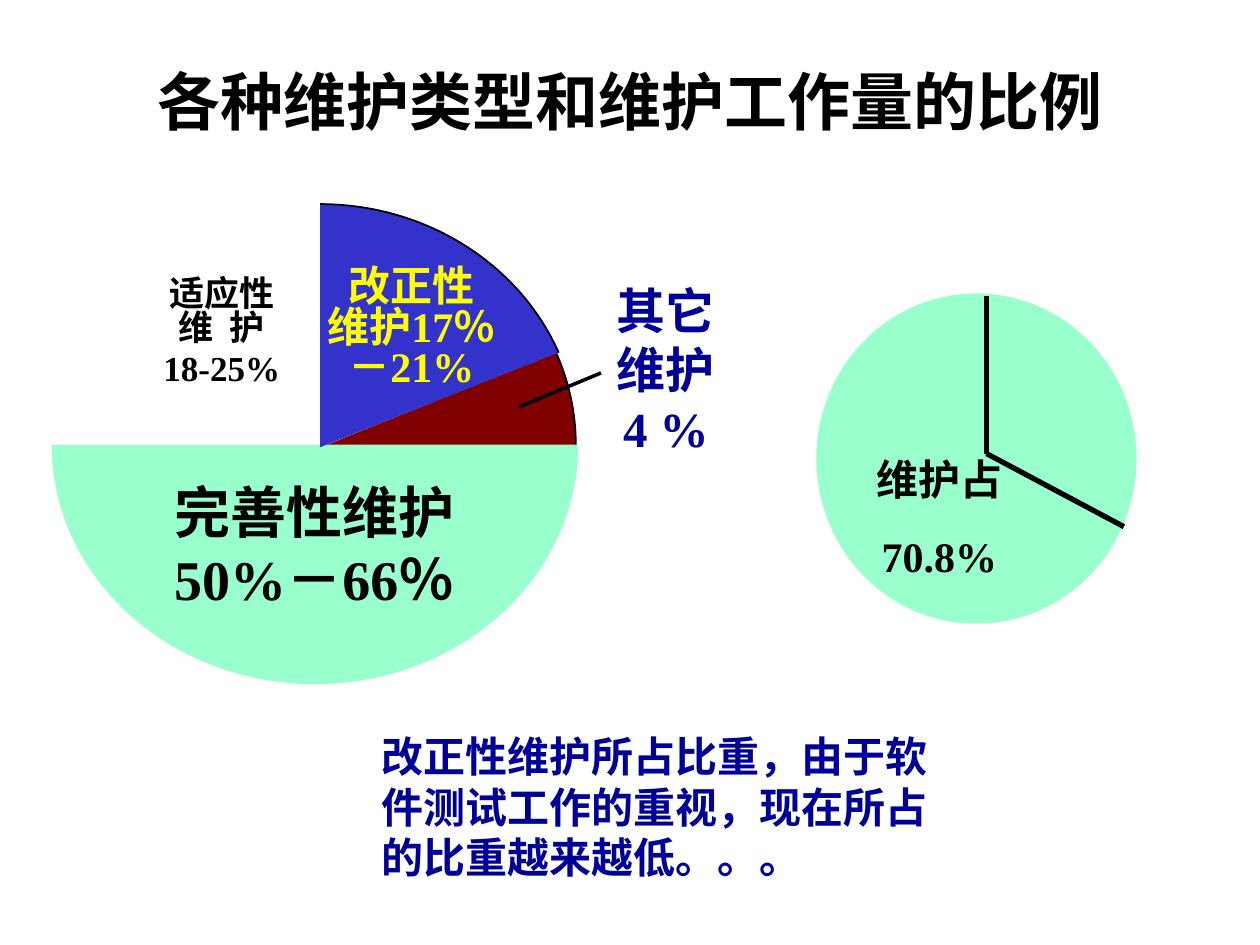
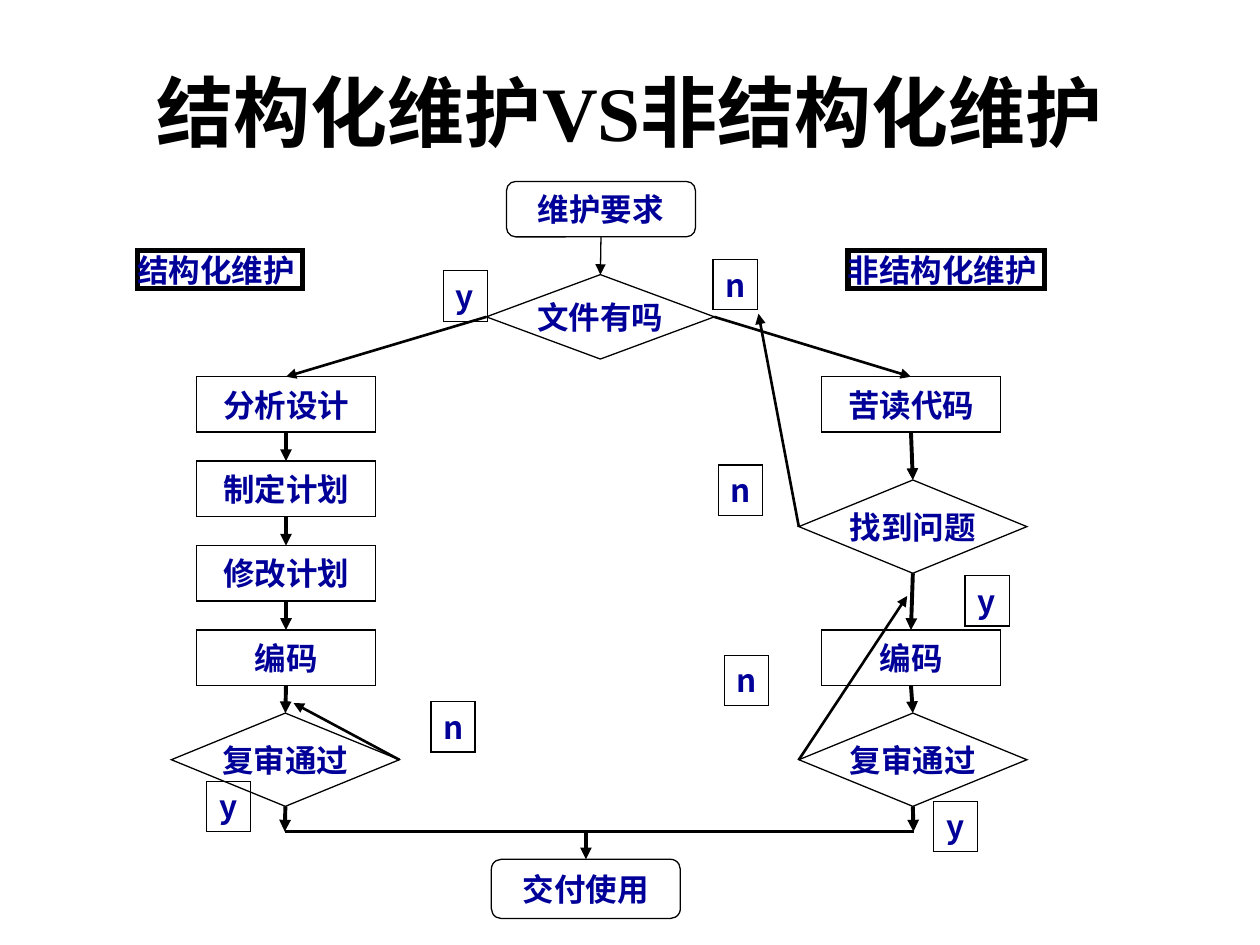
from copy import deepcopy
from dataclasses import dataclass
from math import cos, radians, sin, tan

from lxml import etree
from pptx import Presentation
from pptx import util as u
from pptx.dml.color import RGBColor
from pptx.enum import shapes, text
from pptx.oxml import ns

KIND = shapes.MSO_SHAPE
ALIGN = text.PP_ALIGN
ANCHOR = text.MSO_ANCHOR
TOP, LEFT, BOTTOM, RIGHT = range(4)


@dataclass(frozen=True)
class Theme:
    """Colours, fonts, type sizes and line weights."""
    ink: str = "000000"
    navy: str = "000099"
    mint: str = "99FFCC"
    blue: str = "3333CC"
    red: str = "800000"
    gold: str = "FFFF00"
    white: str = "FFFFFF"
    serif: str = "Times New Roman"
    sans: str = "Noto Sans CJK SC"
    note: int = 18
    small: int = 20
    body: int = 24
    large: int = 28
    huge: int = 32
    thin: float = 0.75
    mid: float = 1.5
    thick: float = 2.25
    bold: float = 3


T = Theme()


def rgb(code):
    """Turn a hex code into a colour."""
    return RGBColor.from_string(code)


def box(at):
    """Turn inches into lengths."""
    return [u.Inches(n) for n in at]


def paint(shape, fill=None, line=None, weight=1):
    """Set the fill and sharp-cornered outline of a shape."""
    shape.shadow.inherit = False
    if fill:
        shape.fill.solid()
        shape.fill.fore_color.rgb = rgb(fill)
    else:
        shape.fill.background()
    if line:
        shape.line.color.rgb = rgb(line)
        shape.line.width = u.Pt(weight)
        edge = shape._element.spPr.find(ns.qn("a:ln"))
        etree.SubElement(edge, ns.qn("a:miter"), lim="800000")
    else:
        shape.line.fill.background()


def write(frame, words, size, color, face=T.serif, align=ALIGN.CENTER,
          anchor=ANCHOR.TOP, wrap=True, inset=True):
    """Fill a text frame with bold words in one style."""
    frame.text = words
    frame.auto_size = text.MSO_AUTO_SIZE.NONE
    frame.word_wrap = wrap
    frame.vertical_anchor = anchor
    frame.margin_left = frame.margin_right = u.Inches(0.1 if inset else 0)
    frame.margin_top = frame.margin_bottom = u.Inches(0.05 if inset else 0)
    for para in frame.paragraphs:
        para.alignment = align
        for run in para.runs:
            font = run.font
            font.size, font.bold, font.name = u.Pt(size), True, face
            font.color.rgb = rgb(color)
            east = etree.SubElement(run._r.get_or_add_rPr(), ns.qn("a:ea"))
            east.set("typeface", T.sans)


def page(deck, words, top, size):
    """Add a slide with its title."""
    slide = deck.slides.add_slide(deck.slide_layouts[5])
    title = slide.shapes.title
    title.left, title.top, title.width, title.height = box((0.75, top, 8.5, 1.25))
    write(title.text_frame, words, size, T.ink, anchor=ANCHOR.MIDDLE)
    return slide


def label(slide, at, words, size, color, **style):
    """Add a text box and return its paragraphs."""
    frame = slide.shapes.add_textbox(*box(at)).text_frame
    write(frame, words, size, color, **style)
    return frame.paragraphs


def curve(hub, radii, start, stop):
    """Return Bezier points for an arc, clockwise from the right."""
    count = -int(-(stop - start) // 90)
    turn = radians(stop - start) / count
    pull = 4 / 3 * tan(turn / 4)

    def spot(angle, bend):
        """Return a point on the arc, moved along its tangent."""
        return (hub[0] + radii[0] * (cos(angle) - bend * sin(angle)),
                hub[1] + radii[1] * (sin(angle) + bend * cos(angle)))

    dots = [spot(radians(start), 0)]
    for i in range(count):
        head = radians(start) + i * turn
        dots += [spot(head, pull), spot(head + turn, -pull), spot(head + turn, 0)]
    return dots


def wedge(slide, hub, radii, start, stop, fill, rim=None, tip=None):
    """Add a curved pie slice whose line follows only the arc."""
    arc = curve(hub, radii, start, stop)
    dots = [box(dot) for dot in arc + [tip or hub]]
    pen = slide.shapes.build_freeform(*dots[0], scale=1)
    pen.add_line_segments(dots[1:], close=True)
    shape = pen.convert_to_shape()
    route = shape._element.spPr.find(".//" + ns.qn("a:path"))
    legs = route.findall(ns.qn("a:lnTo"))[:len(arc) - 1]
    for i in range(0, len(legs), 3):
        bend = etree.Element(ns.qn("a:cubicBezTo"))
        legs[i].addprevious(bend)
        for leg in legs[i:i + 3]:
            bend.append(leg[0])
            route.remove(leg)
    if rim:
        edge = deepcopy(route)
        for part in edge[-2:]:
            edge.remove(part)
        edge.set("fill", "none")
        route.set("stroke", "0")
        route.addprevious(edge)
    paint(shape, fill, rim)


def link(slide, start, end, weight, tip=True):
    """Draw a line between points or (shape, side) joints."""
    line = slide.shapes.add_connector(shapes.MSO_CONNECTOR.STRAIGHT, 0, 0, 0, 0)
    if isinstance(start[0], (int, float)):
        line.begin_x, line.begin_y = box(start)
    else:
        line.begin_connect(*start)
    if isinstance(end[0], (int, float)):
        line.end_x, line.end_y = box(end)
    else:
        line.end_connect(*end)
    line.line.color.rgb = rgb(T.ink)
    line.line.width = u.Pt(weight)
    props = line._element.spPr
    if tip:
        etree.SubElement(props.find(ns.qn("a:ln")), ns.qn("a:tailEnd"), type="triangle")
    etree.SubElement(props, ns.qn("a:effectLst"))


def node(slide, kind, at, words, weight=T.thin, face=T.sans, **style):
    """Add an outlined shape with a short text."""
    shape = slide.shapes.add_shape(kind, *box(at))
    paint(shape, line=T.ink, weight=weight)
    write(shape.text_frame, words, T.note, T.navy, face, wrap=False, **style)
    return shape


def step(slide, kind, at, words):
    """Add a flow step with centred text."""
    return node(slide, kind, at, words, anchor=ANCHOR.MIDDLE)


def shares(deck):
    """Build the slide on the shares of maintenance types."""
    slide = page(deck, "各种维护类型和维护工作量的比例", 0.17, 36)
    wedge(slide, (2.52, 3.53), (2.05, 1.91), -22.5, 0, T.red, T.ink, (2.52, 3.56))
    wedge(slide, (2.5, 3.53), (2.09, 1.9), 0, 180, T.mint)
    label(slide, (4.7, 2.18, 1.17, 1.5), "其它\n维护\n4 %", T.large, T.navy)
    wedge(slide, (2.52, 3.53), (2.1, 1.91), 180, 270, T.white)
    wedge(slide, (2.54, 3.53), (2.05, 1.91), -90, -22.5, T.blue, T.ink, (2.54, 3.55))

    adapt = label(slide, (1.05, 2.17, 1.42, 0.96), "适应性\n维  护\n18-25%", T.small, T.ink)
    fix = label(slide, (2.37, 2.09, 1.79, 1.06), "改正性\n维护17％－21%", T.body, T.gold)
    for para in (*adapt[:2], *fix):
        para.line_spacing = 0.8
    label(slide, (1.25, 3.74, 2.49, 1.7), "完善性维护50%－66％", T.huge, T.ink)
    link(slide, (4.12, 3.23), (4.77, 2.96), 2, tip=False)

    disc = slide.shapes.add_shape(KIND.OVAL, *box((6.5, 2.35, 2.5, 2.58)))
    paint(disc, T.mint, T.mint, T.bold)
    hub = (7.83, 3.6)
    link(slide, (7.83, 2.35), hub, T.bold, tip=False)
    link(slide, hub, (8.92, 4.18), T.bold, tip=False)
    total = label(slide, (6.33, 3.6, 2.25, 1.01), "维护占\n70.8%", T.body, T.ink, inset=False)
    total[1].space_before = u.Pt(15)
    label(slide, (3.03, 5.8, 4.41, 1.2),
          "改正性维护所占比重，由于软件测试工作的重视，现在所占的比重越来越低。。。",
          T.body, T.navy, align=ALIGN.LEFT, inset=False)


def flow(deck):
    """Build the slide comparing the two maintenance flows."""
    slide = page(deck, "结构化维护VS非结构化维护", 0.25, 44)
    ship = step(slide, KIND.ROUNDED_RECTANGLE, (3.9, 6.82, 1.5, 0.47), "交付使用")
    plan = [step(slide, KIND.RECTANGLE, (1.56, 2.99 + 0.67 * i, 1.42, 0.44), words)
            for i, words in enumerate(("分析设计", "制定计划", "修改计划", "编码"))]
    plan.append(step(slide, KIND.DIAMOND, (1.36, 5.66, 1.81, 0.74), "复审通过"))
    docs = step(slide, KIND.DIAMOND, (3.86, 2.18, 1.81, 0.67), "文件有吗")
    hack = [step(slide, KIND.RECTANGLE, (6.52, 2.99, 1.42, 0.44), "苦读代码"),
            step(slide, KIND.DIAMOND, (6.34, 3.81, 1.81, 0.74), "找到问题"),
            step(slide, KIND.RECTANGLE, (6.52, 5, 1.42, 0.44), "编码"),
            step(slide, KIND.DIAMOND, (6.34, 5.66, 1.81, 0.74), "复审通过")]
    ask = step(slide, KIND.ROUNDED_RECTANGLE, (4.02, 1.44, 1.5, 0.44), "维护要求")

    link(slide, (ask, BOTTOM), (docs, TOP), T.thin)
    link(slide, (docs, LEFT), (plan[0], TOP), T.mid)
    link(slide, (docs, RIGHT), (hack[0], TOP), T.mid)
    floor = 6.6
    for chain, x in ((plan, 2.26), (hack, 7.25)):
        for above, below in zip(chain, chain[1:]):
            link(slide, (above, BOTTOM), (below, TOP), T.thick)
        link(slide, (chain[-1], BOTTOM), (x, floor), T.thick)
    link(slide, (2.26, floor), (7.25, floor), T.mid, tip=False)
    link(slide, (4.65, floor), (ship, TOP), T.thick)

    link(slide, (plan[-1], RIGHT), (2.33, 5.58), T.mid)
    link(slide, (hack[-1], LEFT), (7.2, 4.73), T.mid)
    link(slide, (hack[1], LEFT), (6.02, 2.49), T.mid)

    marks = {"y": ((3.52, 2.15), (1.64, 6.2), (7.41, 6.36), (7.66, 4.57)),
             "n": ((5.66, 2.06), (5.7, 3.69), (5.75, 5.2), (3.42, 5.57))}
    for word, spots in marks.items():
        for x, y in spots:
            node(slide, KIND.RECTANGLE, (x, y, 0.35, 0.4), word, align=ALIGN.LEFT)
    for x, width, words in ((1.09, 1.31, "结构化维护"), (6.73, 1.56, "非结构化维护")):
        node(slide, KIND.RECTANGLE, (x, 1.99, width, 0.3), words, T.bold, T.serif,
             align=ALIGN.LEFT, anchor=ANCHOR.MIDDLE, inset=False)


def main():
    """Build and save the deck."""
    deck = Presentation()
    deck.slide_width, deck.slide_height = box((10, 7.5))
    shares(deck)
    flow(deck)
    deck.save("out.pptx")


if __name__ == "__main__":
    main()
